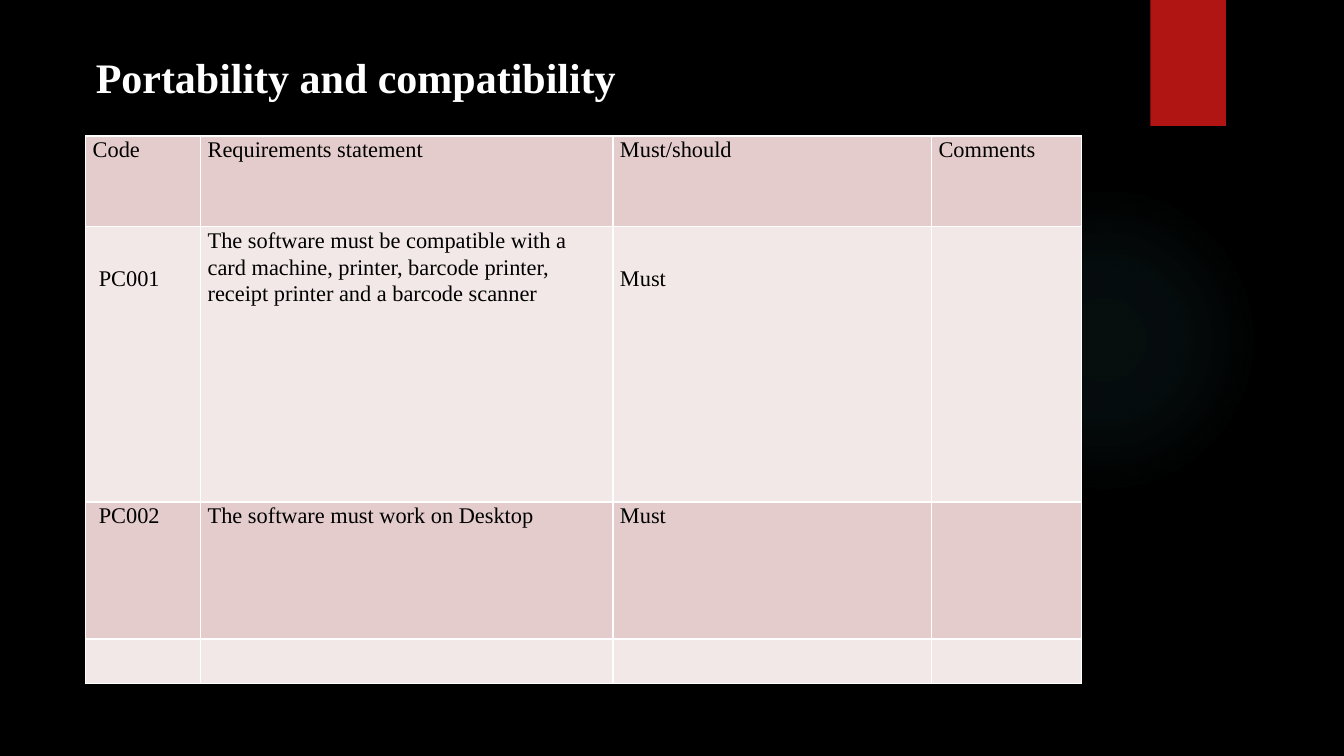
from lxml.etree import SubElement
from pptx import Presentation
from pptx.dml.color import RGBColor
from pptx.enum.shapes import MSO_SHAPE
from pptx.enum.text import MSO_ANCHOR, PP_ALIGN
from pptx.oxml import parse_xml
from pptx.oxml.ns import nsdecls, qn
from pptx.util import Inches, Pt

TITLE = "Portability and compatibility"
ROWS = [
    ("Code", "Requirements statement", "Must/should", "Comments"),
    ("PC001", "The software must be compatible with a card machine, printer, "
              "barcode printer, receipt printer and a barcode scanner", "Must", ""),
    ("PC002", "The software must work on Desktop", "Must", ""),
    ("", "", "", ""),
]
COLUMN_WIDTHS = (1.14, 4.09, 3.16, 1.49)
ROW_HEIGHTS = (0.9, 2.73, 1.36, 0.44)
LOWERED_CELLS = {(1, 0), (1, 2)}  # these start one line down

SLIDE_WIDTH, SLIDE_HEIGHT = 13.33, 7.5
LEFT = 0.85
TITLE_BOX = (LEFT, 0.46, 7.06, 0.61)
TABLE_TOP = 1.35
GLOW_BOX = (9.41, 1.83, 3.08, 3.08)
TAB_BOX = (11.41, 0, 0.75, SLIDE_HEIGHT / 6)

THEME = {
    "font": "Times New Roman", "title_size": 30, "cell_size": 16,
    "background": "000000", "title": "FFFFFF", "cell": "000000",
    "bands": ("E4CCCC", "F2E8E7"), "border": "FFFFFF", "tab": "B01513",
    "glow": "50B9C1", "glow_stops": ((0, 7), (36, 6), (69, 0)),
}


def color(name):
    return RGBColor.from_string(name)


def inches(lengths):
    return [Inches(length) for length in lengths]


def apply(target, values):
    for name, value in values.items():
        setattr(target, name, value)


def style_font(font, size, ink, bold):
    apply(font, {"name": THEME["font"], "size": Pt(size), "bold": bold})
    font.color.rgb = color(ink)


def add_plain_shape(page, kind, box, fill):
    shape = page.shapes.add_shape(kind, *inches(box))
    shape.shadow.inherit = False
    shape.fill.solid()
    shape.fill.fore_color.rgb = color(fill)
    shape.line.fill.background()
    return shape


def make_glow(shape):
    """Swap the solid fill for a radial one that fades out."""
    stops = "".join(
        f'<a:gs pos="{place * 1000}"><a:srgbClr val="{THEME["glow"]}">'
        f'<a:alpha val="{opacity * 1000}"/></a:srgbClr></a:gs>'
        for place, opacity in THEME["glow_stops"])
    gradient = parse_xml(
        f'<a:gradFill {nsdecls("a")}><a:gsLst>{stops}</a:gsLst><a:path path="circle">'
        '<a:fillToRect l="50000" t="50000" r="50000" b="50000"/></a:path></a:gradFill>')
    properties = shape.fill._xPr
    properties.replace(properties.find(qn("a:solidFill")), gradient)


def add_borders(cell):
    properties = cell._tc.get_or_add_tcPr()
    for index, side in enumerate(("a:lnL", "a:lnR", "a:lnT", "a:lnB")):
        line = SubElement(properties, qn(side), w=str(Pt(1)))
        fill = SubElement(line, qn("a:solidFill"))
        SubElement(fill, qn("a:srgbClr"), val=THEME["border"])
        properties.insert(index, line)


def fill_cell(cell, text, row, column):
    indented = column == 0 and row > 0
    apply(cell, {
        "margin_left": Inches(0.13 if indented else 0.07),
        "margin_right": Inches(0.07),
        "margin_top": Inches(0.38 if (row, column) in LOWERED_CELLS else 0),
        "margin_bottom": 0,
        "vertical_anchor": MSO_ANCHOR.TOP,
    })
    cell.fill.solid()
    cell.fill.fore_color.rgb = color(THEME["bands"][row % 2])
    add_borders(cell)
    if text:
        cell.text = text
        para = cell.text_frame.paragraphs[0]
        apply(para, {"line_spacing": 1.07, "space_after": Pt(8)})
        style_font(para.runs[0].font, THEME["cell_size"], THEME["cell"], False)


def add_title(page):
    title = page.shapes.title
    apply(title, dict(zip(("left", "top", "width", "height"), inches(TITLE_BOX))))
    title.text = TITLE
    apply(title.text_frame, {"word_wrap": True, "vertical_anchor": MSO_ANCHOR.TOP})
    para = title.text_frame.paragraphs[0]
    apply(para, {"alignment": PP_ALIGN.LEFT, "line_spacing": 1.0, "space_before": Pt(0)})
    style_font(para.runs[0].font, THEME["title_size"], THEME["title"], True)


def add_requirements(page):
    box = (LEFT, TABLE_TOP, sum(COLUMN_WIDTHS), sum(ROW_HEIGHTS))
    table = page.shapes.add_table(len(ROWS), len(COLUMN_WIDTHS), *inches(box)).table
    apply(table, {"first_row": False, "horz_banding": False})
    for column, width in zip(table.columns, COLUMN_WIDTHS):
        column.width = Inches(width)
    for row, height in enumerate(ROW_HEIGHTS):
        table.rows[row].height = Inches(height)
        for column, text in enumerate(ROWS[row]):
            fill_cell(table.cell(row, column), text, row, column)


def main():
    deck = Presentation()
    apply(deck, {"slide_width": Inches(SLIDE_WIDTH), "slide_height": Inches(SLIDE_HEIGHT)})
    page = deck.slides.add_slide(deck.slide_layouts.get_by_name("Title Only"))
    page.background.fill.solid()
    page.background.fill.fore_color.rgb = color(THEME["background"])
    make_glow(add_plain_shape(page, MSO_SHAPE.OVAL, GLOW_BOX, THEME["glow"]))
    add_plain_shape(page, MSO_SHAPE.RECTANGLE, TAB_BOX, THEME["tab"])
    add_requirements(page)
    add_title(page)
    deck.save("out.pptx")


if __name__ == "__main__":
    main()
